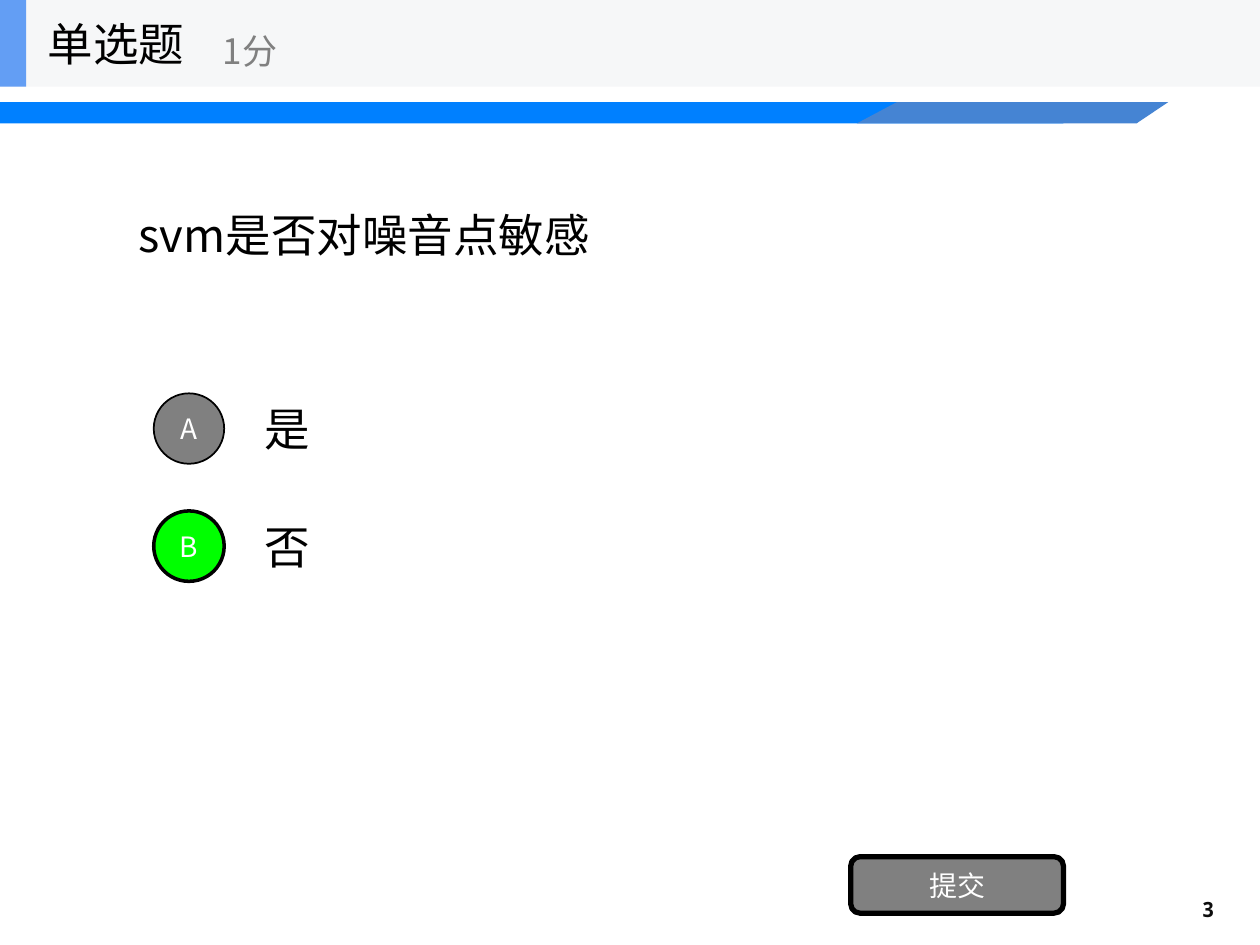
from lxml.etree import SubElement
from pptx import Presentation
from pptx.dml.color import RGBColor
from pptx.enum.shapes import MSO_SHAPE
from pptx.enum.text import MSO_ANCHOR, PP_ALIGN
from pptx.oxml.ns import qn
from pptx.util import Cm, Pt

# Content
QUESTION = "svm是否对噪音点敏感"
HEADING, SCORE = "单选题", "1分"
SUBMIT, PAGE_NUMBER = "提交", "3"

BLACK = RGBColor(0x00, 0x00, 0x00)
NEAR_BLACK = RGBColor(0x0D, 0x0D, 0x0D)
WHITE = RGBColor(0xFF, 0xFF, 0xFF)
GRAY = RGBColor(0x80, 0x80, 0x80)
GREEN = RGBColor(0x00, 0xFF, 0x00)
BLUE = RGBColor(0x00, 0x80, 0xFF)
STEEL_BLUE = RGBColor(0x45, 0x84, 0xD3)
LIGHT_BLUE = RGBColor(0x63, 0x9E, 0xF4)
PALE_GRAY = RGBColor(0xF6, 0xF7, 0xF8)

# Letter, answer, badge fill, badge outline in points
OPTIONS = [("A", "是", GRAY, 1), ("B", "否", GREEN, 2)]

FONT, NUMBER_FONT = "Noto Sans CJK SC", "Noto Sans Mono"

# Layout in centimetres
PAGE_WIDTH, PAGE_HEIGHT = 25.4, 19.05
HEADER_HEIGHT = 1.75
OPTION_TOP, OPTION_PITCH, OPTION_HEIGHT = 7.75, 2.37, 1.78
BADGE_LEFT, BADGE_SIZE = 3.1, 1.42
BAND_TOP, BAND_BOTTOM = 2.06, 2.49
BAND_TAIL = [(17.27, BAND_BOTTOM), (22.91, BAND_BOTTOM),
             (23.55, BAND_TOP), (18.08, BAND_TOP)]


def write(shape, text, size, color, align=PP_ALIGN.LEFT, font=FONT, bold=False):
    frame = shape.text_frame
    frame.word_wrap = True
    frame.vertical_anchor = MSO_ANCHOR.MIDDLE
    frame.text = text
    para = frame.paragraphs[0]
    para.alignment = align
    span = para.runs[0]
    span.font.size, span.font.bold, span.font.name = Pt(size), bold, font
    span.font.color.rgb = color
    SubElement(span.font._element, qn("a:ea")).set("typeface", font)


def add_text(page, place, *args, **options):
    box = page.shapes.add_textbox(*map(Cm, place))
    write(box, *args, **options)


def paint(shape, fill, outline=0):
    shape.shadow.inherit = False
    shape.fill.solid()
    shape.fill.fore_color.rgb = fill
    if outline:
        shape.line.color.rgb = BLACK
        shape.line.width = Pt(outline)
    else:
        shape.line.fill.background()


def add_block(page, kind, place, fill, outline=0, label=None):
    shape = page.shapes.add_shape(kind, *map(Cm, place))
    paint(shape, fill, outline)
    if label:
        frame = shape.text_frame
        frame.margin_left = frame.margin_right = 0
        frame.margin_top = frame.margin_bottom = 0
        write(shape, label, 16, WHITE, PP_ALIGN.CENTER)


def main():
    deck = Presentation()
    deck.slide_width, deck.slide_height = Cm(PAGE_WIDTH), Cm(PAGE_HEIGHT)
    page = deck.slides.add_slide(deck.slide_layouts[6])

    # Blue band with slanted tail
    add_block(page, MSO_SHAPE.RECTANGLE,
              (0, BAND_TOP, 21.44, BAND_BOTTOM - BAND_TOP), BLUE)
    corners = [(Cm(x), Cm(y)) for x, y in BAND_TAIL]
    builder = page.shapes.build_freeform(*corners[0])
    builder.add_line_segments(corners[1:], close=True)
    paint(builder.convert_to_shape(), STEEL_BLUE)

    # Page number and question
    add_text(page, (23.16, 17.81, 1.57, 1.02), PAGE_NUMBER, 12, NEAR_BLACK,
             align=PP_ALIGN.RIGHT, font=NUMBER_FONT, bold=True)
    add_text(page, (2.54, HEADER_HEIGHT, 20.32, 5.94), QUESTION, 26, BLACK)

    # Answer options, badge centred on each row
    for index, (letter, answer, fill, outline) in enumerate(OPTIONS):
        top = OPTION_TOP + index * OPTION_PITCH
        badge_top = top + (OPTION_HEIGHT - BADGE_SIZE) / 2
        add_text(page, (5.08, top, 17.78, OPTION_HEIGHT), answer, 26, BLACK)
        add_block(page, MSO_SHAPE.OVAL,
                  (BADGE_LEFT, badge_top, BADGE_SIZE, BADGE_SIZE),
                  fill, outline, letter)

    # Submit button
    add_block(page, MSO_SHAPE.ROUNDED_RECTANGLE, (17.15, 17.27, 4.29, 1.14),
              GRAY, 3, SUBMIT)

    # Header bar
    add_block(page, MSO_SHAPE.RECTANGLE, (0, 0, PAGE_WIDTH, HEADER_HEIGHT), PALE_GRAY)
    add_block(page, MSO_SHAPE.RECTANGLE, (0, 0, 0.53, HEADER_HEIGHT), LIGHT_BLUE)
    add_text(page, (0.71, 0, 5.28, HEADER_HEIGHT), HEADING, 26, BLACK)
    add_text(page, (4.24, 0.3, 6.35, 1.42), SCORE, 20, GRAY)

    deck.save("out.pptx")


if __name__ == "__main__":
    main()
